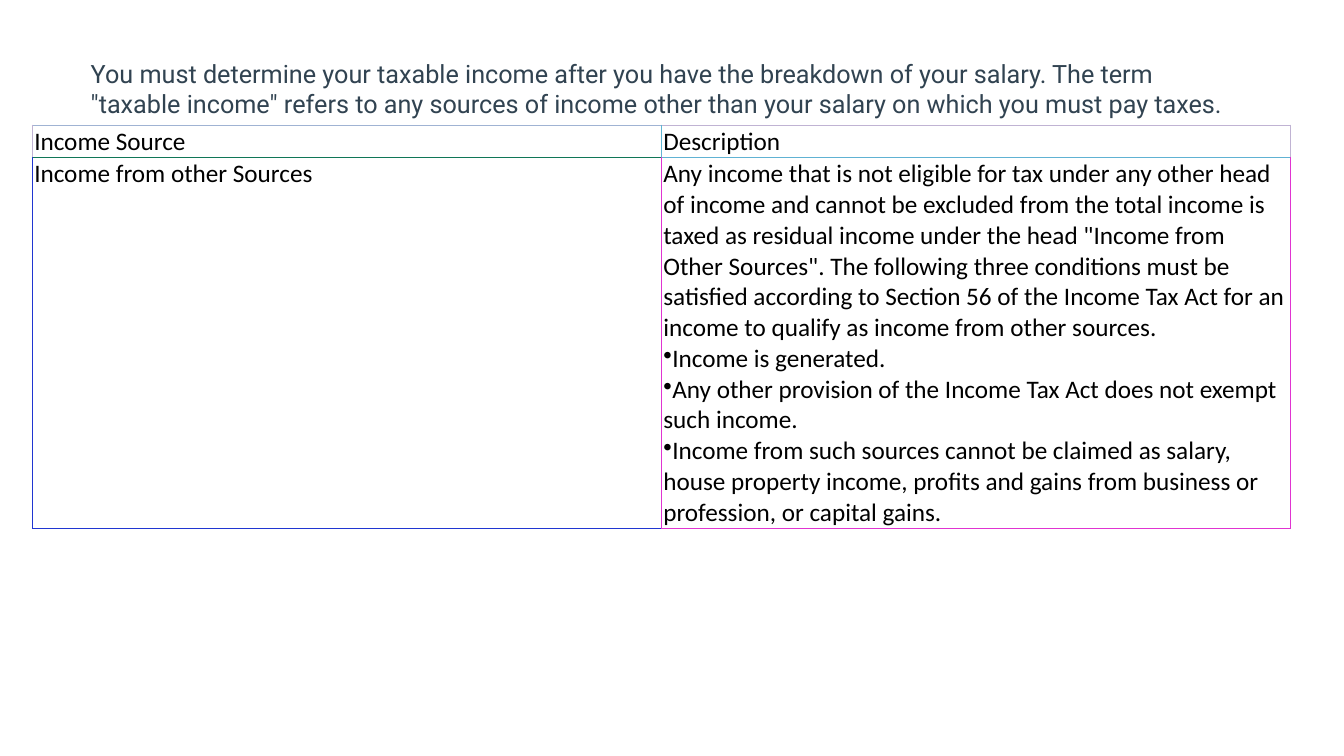
import pptx
import pptx.util
import pptx.dml.color
import pptx.enum.text
import pptx.oxml
import pptx.oxml.ns
from lxml import etree

# Content
INTRO = ('You must determine your taxable income after you have the breakdown of your salary. '
         'The term "taxable income" refers to any sources of income other than your salary '
         'on which you must pay taxes.')
BULLET = "•"
ROWS = [
    [["Income Source"], ["Description"]],
    [["Income from other Sources"],
     ['Any income that is not eligible for tax under any other head of income and cannot be '
      'excluded from the total income is taxed as residual income under the head "Income from '
      'Other Sources". The following three conditions must be satisfied according to Section 56 '
      'of the Income Tax Act for an income to qualify as income from other sources.',
      BULLET + "Income is generated.",
      BULLET + "Any other provision of the Income Tax Act does not exempt such income.",
      BULLET + "Income from such sources cannot be claimed as salary, house property income, "
               "profits and gains from business or profession, or capital gains."]],
]

# Colours; borders are left, right, top, bottom of each cell
RGB = pptx.dml.color.RGBColor
SLATE = RGB(0x31, 0x43, 0x51)
BLACK = RGB(0, 0, 0)
WHITE = RGB(255, 255, 255)
LILAC = RGB(0xC0, 0xB3, 0xD3)
PERIWINKLE = RGB(0xA0, 0xB3, 0xD3)
SKY = RGB(0x60, 0xB5, 0xD3)
STEEL = RGB(0x60, 0xB2, 0xD3)
GREEN = RGB(0x10, 0x76, 0x57)
BLUE = RGB(0x20, 0x36, 0xD1)
MAGENTA = RGB(0xE0, 0x34, 0xD1)
BORDERS = [
    [(LILAC, SKY, PERIWINKLE, GREEN), (SKY, LILAC, LILAC, STEEL)],
    [(BLUE, MAGENTA, GREEN, BLUE), (MAGENTA, MAGENTA, STEEL, MAGENTA)],
]

# Layout
Inches, Pt = pptx.util.Inches, pptx.util.Pt
SIZE = Pt(18)
LEFT, TOP, COL_WIDTH = 0.32, 1.24, 6.24
ROW_HEIGHTS = (0.32, 3.63)


def add_run(p, text, font, color):
    r = p.add_run()
    r.text = text
    r.font.name, r.font.size = font, SIZE
    r.font.color.rgb = color


def set_borders(cell, colors):
    tcPr = cell._tc.get_or_add_tcPr()
    for i, (side, color) in enumerate(zip("LRTB", colors)):
        ln = etree.Element(pptx.oxml.ns.qn("a:ln" + side), w=str(Pt(0.75)))
        fill = etree.SubElement(ln, pptx.oxml.ns.qn("a:solidFill"))
        etree.SubElement(fill, pptx.oxml.ns.qn("a:srgbClr"), val=str(color))
        tcPr.insert(i, ln)


def add_bullet(p):
    pPr = p._p.get_or_add_pPr()
    pPr.set("marL", "0")
    pPr.set("indent", "0")
    etree.SubElement(pPr, pptx.oxml.ns.qn("a:buChar"), char=BULLET)


def fill_cell(cell, lines, colors):
    cell.margin_left = cell.margin_right = Inches(0.02)
    cell.margin_top = cell.margin_bottom = Inches(0.01)
    cell.fill.solid()
    cell.fill.fore_color.rgb = WHITE
    set_borders(cell, colors)
    tf = cell.text_frame
    for i, line in enumerate(lines):
        p = tf.paragraphs[0] if i == 0 else tf.add_paragraph()
        if line.startswith(BULLET):
            add_bullet(p)
        add_run(p, line.lstrip(BULLET), "Calibri", BLACK)


prs = pptx.Presentation()
prs.slide_width, prs.slide_height = Inches(13.33), Inches(7.5)
s = prs.slides.add_slide(prs.slide_layouts[5])

# Introduction in the title placeholder
title = s.shapes.title
title.left, title.top = Inches(0.8), Inches(0.53)
title.width, title.height = Inches(11.59), Inches(0.71)
tf = title.text_frame
tf.word_wrap = True
tf.auto_size = pptx.enum.text.MSO_AUTO_SIZE.NONE
tf.vertical_anchor = pptx.enum.text.MSO_ANCHOR.TOP
p = tf.paragraphs[0]
p.alignment = pptx.enum.text.PP_ALIGN.LEFT
add_run(p, INTRO, "Roboto", SLATE)

# Income table
table = s.shapes.add_table(len(ROWS), len(ROWS[0]), Inches(LEFT), Inches(TOP),
                           Inches(COL_WIDTH * len(ROWS[0])), Inches(sum(ROW_HEIGHTS))).table
table.first_row = table.horz_banding = False
for col in table.columns:
    col.width = Inches(COL_WIDTH)
for r, row in enumerate(ROWS):
    table.rows[r].height = Inches(ROW_HEIGHTS[r])
    for c, lines in enumerate(row):
        fill_cell(table.cell(r, c), lines, BORDERS[r][c])

prs.save("out.pptx")
